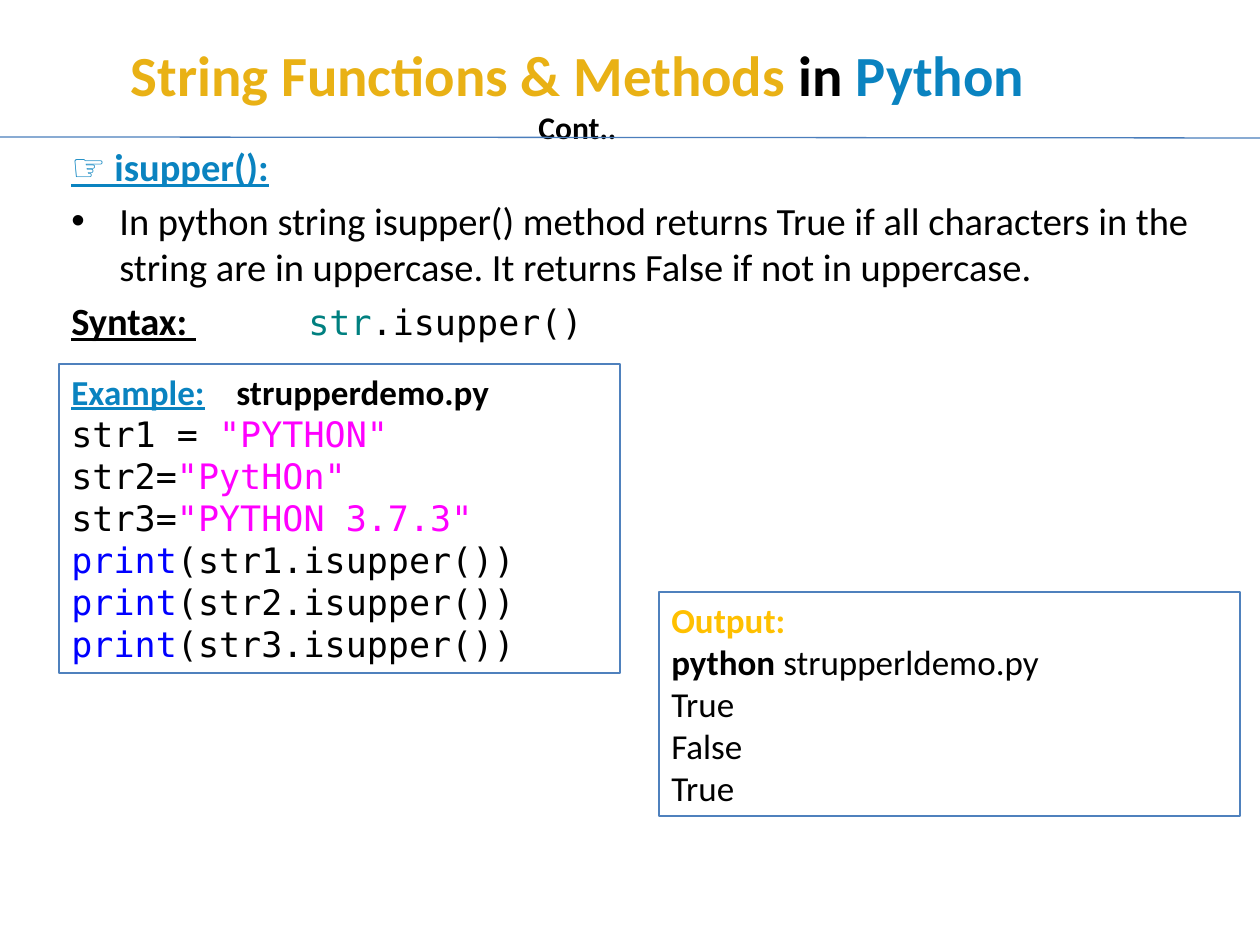
from lxml.etree import SubElement
from pptx import Presentation
from pptx.dml.color import RGBColor
from pptx.enum.shapes import MSO_CONNECTOR as CONN, MSO_SHAPE as SHAPE
from pptx.enum.text import MSO_ANCHOR as ANCHOR, PP_ALIGN as ALIGN
from pptx.oxml.ns import qn
from pptx.util import Pt

PX = 914400 // 126
SANS, MONO = "Calibri", "DejaVu Sans Mono"
BLACK = RGBColor(0x00, 0x00, 0x00)
GOLD = RGBColor(0xE9, 0xB1, 0x15)
AMBER = RGBColor(0xFF, 0xC0, 0x00)
BLUE = RGBColor(0x0A, 0x83, 0xC0)
TEAL = RGBColor(0x00, 0x80, 0x80)
MAGENTA = RGBColor(0xFF, 0x00, 0xFF)
KEYWORD = RGBColor(0x00, 0x00, 0xFF)
RULE = RGBColor(0x4B, 0x7E, 0xBC)
BORDER = RGBColor(0x4F, 0x81, 0xBD)


def emu(*pixels):
    """Turn pixel lengths into EMU."""
    return [n * PX for n in pixels]


def run(text, color=BLACK, bold=False, underline=False, font=SANS, size=None):
    """Describe one run of text."""
    return text, color, bold, underline, font, size


def code(text, color=BLACK):
    """Describe one run of code."""
    return run(text, color, font=MONO)


def write(tf, lines, size):
    """Fill a text frame, one paragraph for each list of runs."""
    tf.word_wrap = True
    for i, line in enumerate(lines):
        p = tf.paragraphs[0] if i == 0 else tf.add_paragraph()
        for text, color, bold, underline, font, own_size in line:
            r = p.add_run()
            r.text = text
            r.font.name, r.font.size = font, Pt(own_size or size)
            r.font.bold, r.font.underline = bold, underline
            r.font.color.rgb = color


def add_title(s, box):
    """Place the heading and its continuation mark."""
    tf = s.shapes.add_textbox(*emu(*box)).text_frame
    tf.vertical_anchor = ANCHOR.MIDDLE
    write(tf, [
        [run("String Functions & Methods ", GOLD, True), run("in ", bold=True),
         run("Python", BLUE, True)],
        [run("Cont..", bold=True, size=18)],
    ], 32.4)
    for p in tf.paragraphs:
        p.alignment = ALIGN.CENTER
    tf.paragraphs[0]._p.get_or_add_pPr().set("marR", str(105 * PX))


def add_rule(s, x1, y1, x2, y2):
    """Draw the line under the heading."""
    line = s.shapes.add_connector(CONN.STRAIGHT, *emu(x1, y1, x2, y2))
    line.line.color.rgb, line.line.width = RULE, Pt(0.75)
    SubElement(line._element.spPr, qn("a:effectLst"))


def add_body(s, box):
    """Place the method name, its description and its syntax."""
    tf = s.shapes.add_textbox(*emu(*box)).text_frame
    write(tf, [
        [run("☞ isupper():", BLUE, True, True)],
        [run("In python string isupper() method returns True if all characters "
             "in the string are in uppercase. It returns False if not in "
             "uppercase.")],
        [run("Syntax: ", bold=True, underline=True),
         run("\t\t", TEAL, font=MONO, size=20),
         run("str", TEAL, font=MONO, size=20),
         run(".isupper()", font=MONO, size=20)],
    ], 22)
    for i, p in enumerate(tf.paragraphs):
        p.space_before = Pt(4.4)
        pPr = p._p.get_or_add_pPr()
        pPr.set("marL", str(48 * PX))
        pPr.set("indent", str(-48 * PX))
        if i == 1:
            SubElement(pPr, qn("a:buFont"), typeface="Arial")
            SubElement(pPr, qn("a:buChar"), char="•")
        else:
            SubElement(pPr, qn("a:buNone"))


def add_panel(s, box, lines):
    """Draw a bordered box of text lines and return its text frame."""
    sp = s.shapes.add_shape(SHAPE.RECTANGLE, *emu(*box))
    sp.shadow.inherit = False
    sp.fill.background()
    sp.line.color.rgb, sp.line.width = BORDER, Pt(0.75)
    tf = sp.text_frame
    tf.vertical_anchor = ANCHOR.TOP
    write(tf, lines, 20)
    for p in tf.paragraphs:
        p.alignment = ALIGN.LEFT
    return tf


def add_example(s, box):
    """Place the example program."""
    values = [("str1 = ", '"PYTHON"'), ("str2=", '"PytHOn"'),
              ("str3=", '"PYTHON 3.7.3"')]
    lines = [[run("Example:", BLUE, True, True), run("\t", bold=True),
              run("strupperdemo.py", bold=True)]]
    lines += [[code(name), code(value, MAGENTA)] for name, value in values]
    lines += [[code("print", KEYWORD), code(f"(str{n}.isupper())")]
              for n in (1, 2, 3)]
    tf = add_panel(s, box, lines)
    tabs = SubElement(tf.paragraphs[0]._p.get_or_add_pPr(), qn("a:tabLst"))
    SubElement(tabs, qn("a:tab"), pos=str(165 * PX), algn="l")


def add_output(s, box):
    """Place the output of the program."""
    add_panel(s, box, [
        [run("Output:", AMBER, True)],
        [run("python", bold=True), run(" strupperldemo.py")],
        *[[run(result)] for result in ("True", "False", "True")],
    ])


prs = Presentation()
prs.slide_width, prs.slide_height = emu(1260, 945)
s = prs.slides.add_slide(prs.slide_layouts[6])
add_title(s, (63, 38, 1134, 110))
add_body(s, (59, 137, 1201, 759))
add_rule(s, 0, 137, 1260, 138)
add_example(s, (59, 364, 561, 309))
add_output(s, (659, 592, 581, 224))
prs.save("out.pptx")
